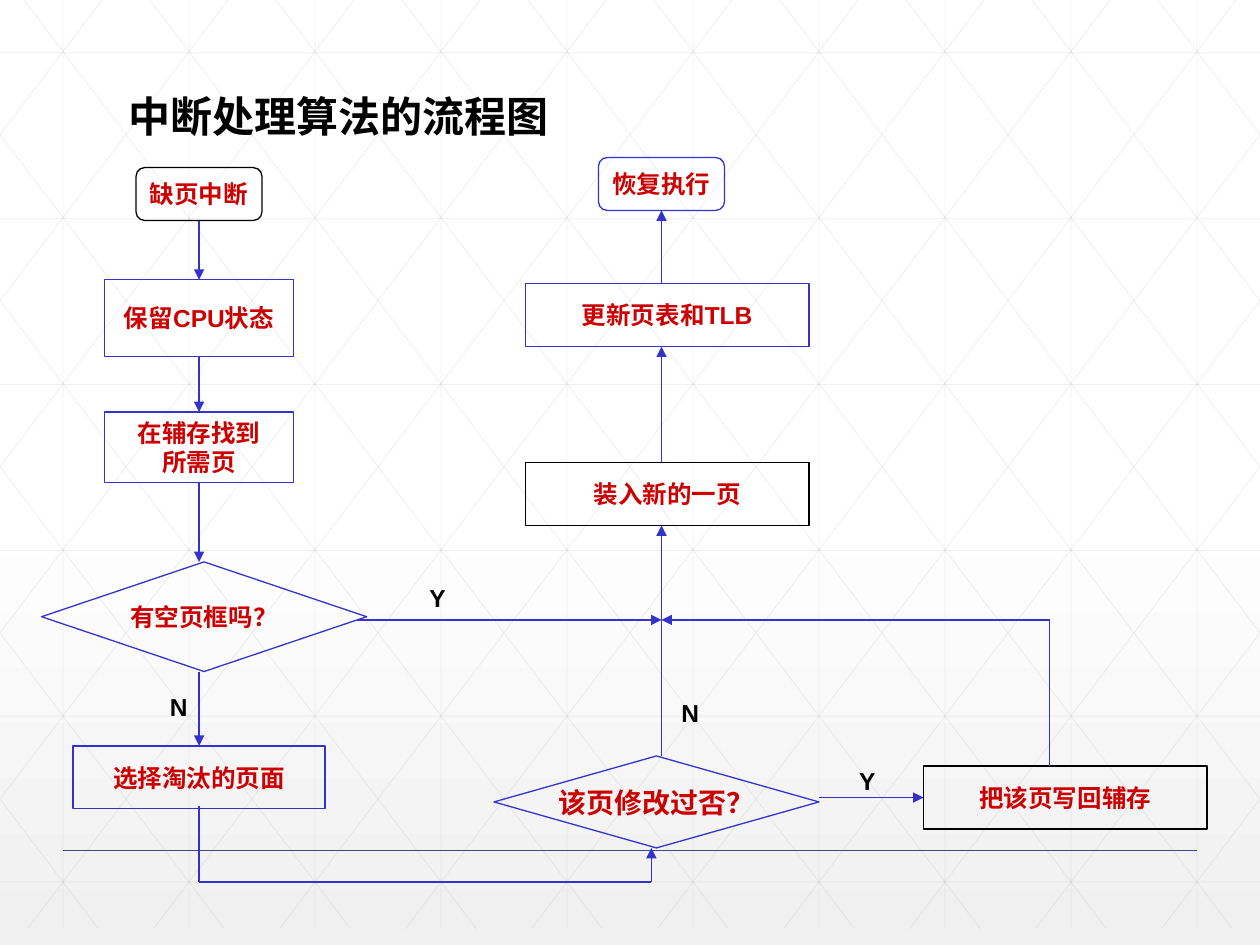
from lxml import etree
from pptx import Presentation
from pptx.dml.color import RGBColor
from pptx.enum import shapes, text
from pptx.oxml.ns import qn
from pptx.util import Inches, Pt

THEME = dict(
    font="Arial", title=24, body=14, large=16,
    black="000000", red="CC0000", blue="3333CC", rule="384C81",
    grid="9F9F9F", grid_alpha=15, bg_top="FFFFFF", bg_bottom="F0F0F0",
    thin=0.5, line=0.75, rule_width=1,
)
KINDS = {
    "rect": shapes.MSO_SHAPE.RECTANGLE,
    "round": shapes.MSO_SHAPE.ROUNDED_RECTANGLE,
    "diamond": shapes.MSO_SHAPE.DIAMOND,
}
TITLE = ("中断处理算法的流程图", 0.92, 0.67, 7.08, 0.5)
NODES = [
    ("round", ["缺页中断"], 1.08, 1.33, 1, 0.42, "black", "body"),
    ("rect", ["保留CPU状态"], 0.83, 2.22, 1.5, 0.61, "blue", "body"),
    ("rect", ["在辅存找到", "所需页"], 0.83, 3.27, 1.5, 0.56, "blue", "body"),
    ("diamond", ["有空页框吗？"], 0.33, 4.46, 2.58, 0.87, "blue", "body"),
    ("rect", ["选择淘汰的页面"], 0.58, 5.92, 2, 0.5, "blue", "body"),
    ("diamond", ["该页修改过否？"], 3.92, 6, 2.58, 0.73, "blue", "large"),
    ("rect", ["把该页写回辅存"], 7.33, 6.08, 2.25, 0.5, "black", "body"),
    ("rect", ["装入新的一页"], 4.17, 3.67, 2.25, 0.5, "black", "body"),
    ("rect", ["更新页表和TLB"], 4.17, 2.25, 2.25, 0.5, "blue", "body"),
    ("round", ["恢复执行"], 4.75, 1.25, 1, 0.42, "blue", "body"),
]
LEFT, MID, RIGHT, JOIN = 1.58, 5.25, 8.33, 4.92
ROUTES = [
    [(LEFT, 1.75), (LEFT, 2.22)],
    [(LEFT, 2.83), (LEFT, 3.27)],
    [(LEFT, 3.83), (LEFT, 4.46)],
    [(LEFT, 5.33), (LEFT, 5.92)],
    [(LEFT, 6.4), (LEFT, 7), (5.17, 7), (5.17, 6.73)],
    [(6.5, 6.33), (7.33, 6.33)],
    [(RIGHT, 6.08), (RIGHT, JOIN), (MID, JOIN)],
    [(2.83, JOIN), (MID, JOIN)],
    [(MID, 6), (MID, JOIN), (MID, 4.17)],
    [(MID, 3.67), (MID, 2.75)],
    [(MID, 2.25), (MID, 1.67)],
]
LABELS = [
    ("N", 1.25, 5.44, 0.37, 0.34),
    ("Y", 3.31, 4.58, 0.34, 0.33),
    ("N", 5.31, 5.49, 0.37, 0.34),
    ("Y", 6.72, 6.03, 0.34, 0.33),
]
WIDTH, HEIGHT = 10, 7.5
GRID_HEIGHT, GRID_RUN, GRID_START = 7.37, 5.59, 0.19


def rgb(name):
    return RGBColor.from_string(THEME[name])


def add_line(s, start, end, color="blue", width="line", arrow=False, alpha=None):
    c = s.shapes.add_connector(
        shapes.MSO_CONNECTOR.STRAIGHT, *map(Inches, (*start, *end)))
    c.line.color.rgb = rgb(color)
    c.line.width = Pt(THEME[width])
    ln = c.line._get_or_add_ln()
    if alpha is not None:
        clr = ln.find(qn("a:solidFill")).find(qn("a:srgbClr"))
        etree.SubElement(clr, qn("a:alpha"), val=str(alpha * 1000))
    if arrow:
        etree.SubElement(ln, qn("a:tailEnd"), type="triangle")
    etree.SubElement(c._element.spPr, qn("a:effectLst"))


def write(tf, lines, size, color, align=None, wrap=False):
    tf.word_wrap = wrap
    for i, line in enumerate(lines):
        p = tf.paragraphs[0] if i == 0 else tf.add_paragraph()
        p.text = line
        p.alignment = align
        p.font.name = THEME["font"]
        p.font.size = Pt(THEME[size])
        p.font.bold = True
        p.font.color.rgb = rgb(color)


def add_text(s, content, box, size, wrap=False):
    tf = s.shapes.add_textbox(*map(Inches, box)).text_frame
    write(tf, [content], size, "black", wrap=wrap)
    tf.auto_size = text.MSO_AUTO_SIZE.SHAPE_TO_FIT_TEXT


def add_node(s, kind, lines, x, y, w, h, color, size):
    sp = s.shapes.add_shape(KINDS[kind], *map(Inches, (x, y, w, h)))
    sp.shadow.inherit = False
    sp.fill.background()
    sp.line.color.rgb = rgb(color)
    sp.line.width = Pt(THEME["line"])
    sp.text_frame.vertical_anchor = text.MSO_ANCHOR.MIDDLE
    write(sp.text_frame, lines, size, "red", text.PP_ALIGN.CENTER)


def grid_lines():
    for i in range(10):
        yield (0.5 + i, 0), (0.5 + i, GRID_HEIGHT)
    for i in range(6):
        y = 0.42 + 1.316 * i
        yield (0, y), (WIDTH, y)
    for k in range(-5, 10):
        x0 = GRID_START + k
        ends = [(x, (x - x0) * GRID_HEIGHT / GRID_RUN)
                for x in (max(0, x0), min(WIDTH, x0 + GRID_RUN))]
        yield tuple(ends)
        yield tuple((WIDTH - x, y) for x, y in ends)


def paint_background(s):
    fill = s.background.fill
    fill.gradient()
    fill.gradient_angle = 270
    stops = zip(fill.gradient_stops, (0.53, 1), ("bg_top", "bg_bottom"))
    for stop, position, color in stops:
        stop.position = position
        stop.color.rgb = rgb(color)


def main():
    prs = Presentation()
    prs.slide_width, prs.slide_height = Inches(WIDTH), Inches(HEIGHT)
    s = prs.slides.add_slide(prs.slide_layouts[6])
    paint_background(s)
    for start, end in grid_lines():
        add_line(s, start, end, "grid", "thin", alpha=THEME["grid_alpha"])
    add_line(s, (0.5, 6.75), (9.5, 6.75), "rule", "rule_width")
    add_text(s, TITLE[0], TITLE[1:], "title", wrap=True)
    for node in NODES:
        add_node(s, *node)
    for route in ROUTES:
        for start, end in zip(route, route[1:]):
            add_line(s, start, end, arrow=end == route[-1])
    for content, *box in LABELS:
        add_text(s, content, box, "body")
    prs.save("out.pptx")


if __name__ == "__main__":
    main()
